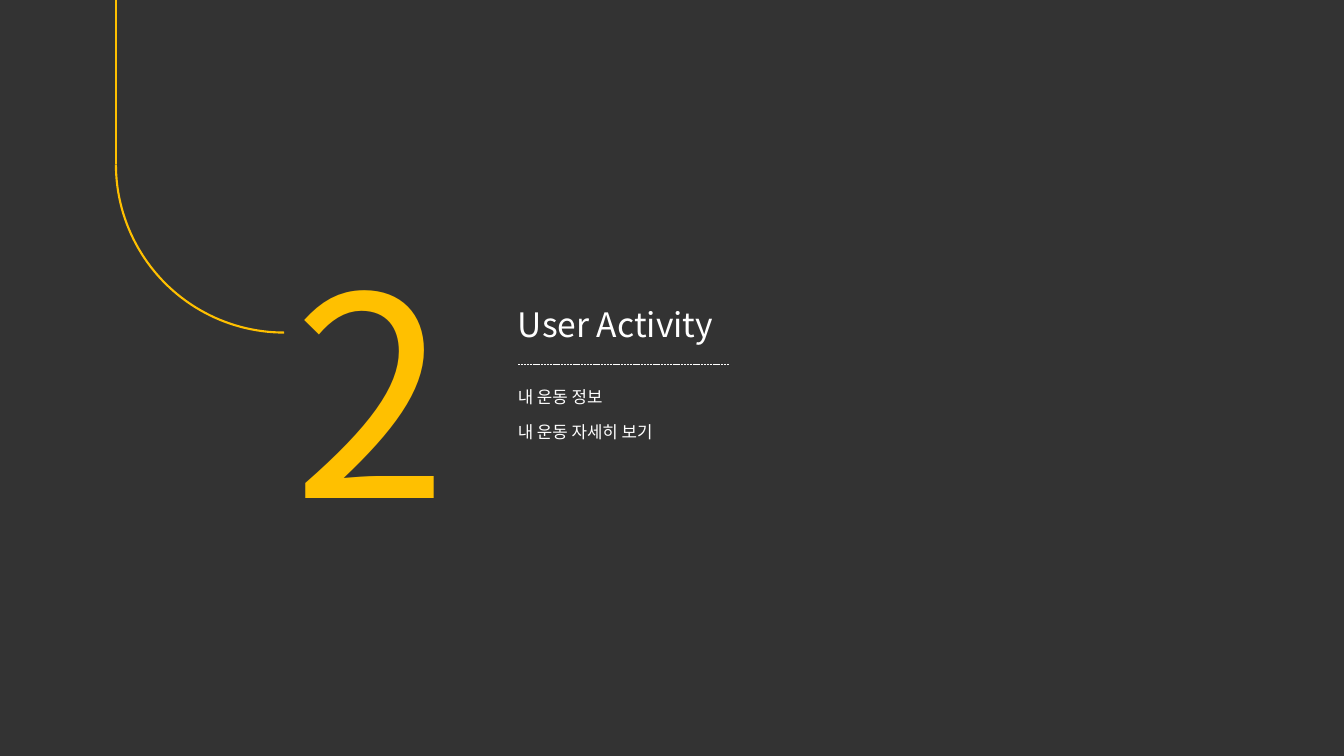
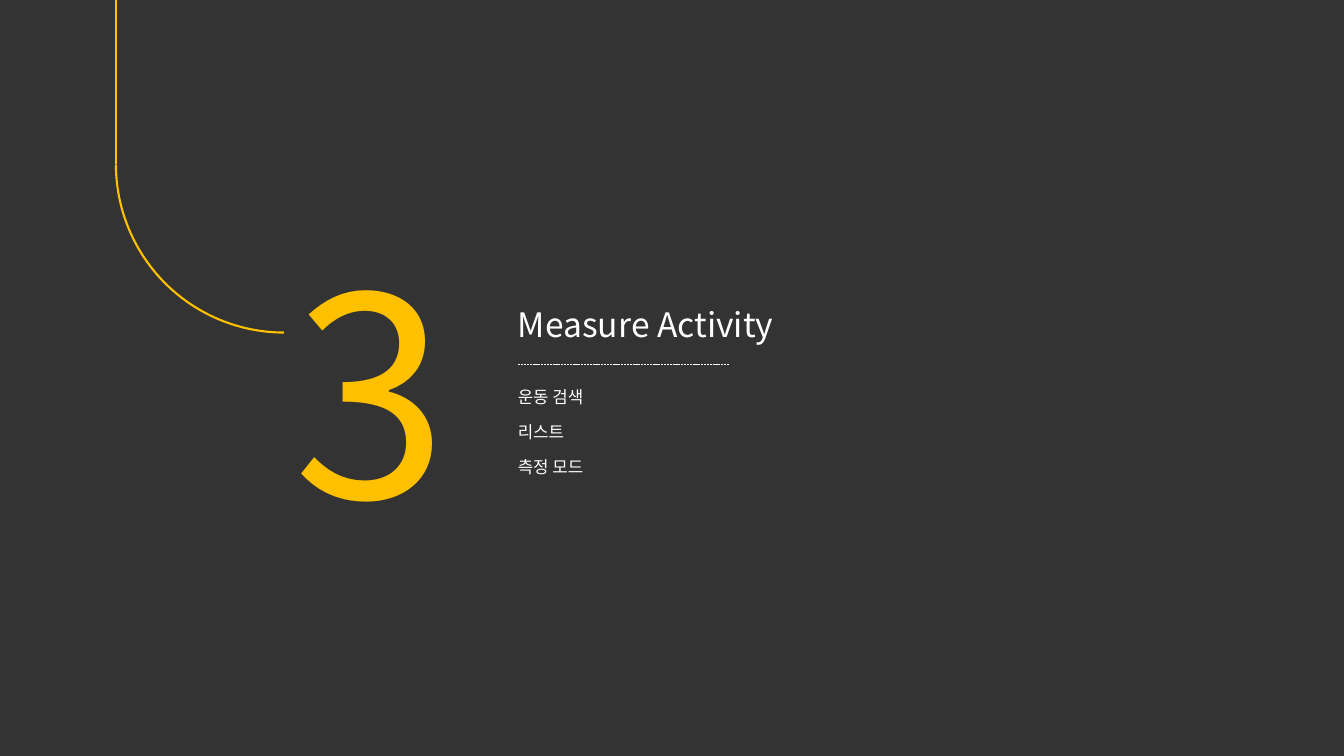
from dataclasses import dataclass

from lxml.etree import SubElement
from pptx import Presentation
from pptx.dml.color import RGBColor
from pptx.enum.dml import MSO_LINE
from pptx.enum.shapes import MSO_CONNECTOR, MSO_SHAPE
from pptx.enum.text import MSO_ANCHOR, MSO_AUTO_SIZE, PP_ALIGN
from pptx.oxml.ns import qn
from pptx.util import Cm, Pt

CHARCOAL = RGBColor(0x33, 0x33, 0x33)
WHITE = RGBColor(0xFF, 0xFF, 0xFF)
AMBER = RGBColor(0xFF, 0xC0, 0x00)
FONT = "Noto Sans CJK KR"

TITLE_ONLY = 5
TEXT_LEFT = 12.8
TOPIC_TOP, TOPIC_PITCH = 9.63, 0.88
ARC_LEFT, ARC_TOP, ARC_SIZE = 2.92, -0.1, 8.48


@dataclass(frozen=True)
class Box:
    """Position and size in centimetres."""
    left: float
    top: float
    width: float
    height: float


@dataclass(frozen=True)
class Section:
    number: str
    title: str
    topics: tuple[str, ...]


TITLE_BOX = Box(TEXT_LEFT, 7.54, 8.28, 1.27)
NUMBER_BOX = Box(7.16, 5.41, 4.5, 8.76)

SECTIONS = (
    Section("2", "User Activity", ("내 운동 정보", "내 운동 자세히 보기")),
    Section("3", "Measure Activity", ("운동 검색", "리스트", "측정 모드")),
)


def write_text(shape, box: Box, text: str, size: float, color: RGBColor) -> None:
    """Place a text shape and give its text the deck's style."""
    shape.left, shape.top = Cm(box.left), Cm(box.top)
    shape.width, shape.height = Cm(box.width), Cm(box.height)
    frame = shape.text_frame
    frame.text = text
    frame.word_wrap = True
    frame.auto_size = MSO_AUTO_SIZE.SHAPE_TO_FIT_TEXT
    frame.vertical_anchor = MSO_ANCHOR.TOP
    paragraph = frame.paragraphs[0]
    paragraph.alignment = PP_ALIGN.LEFT
    run = paragraph.runs[0]
    run.font.size = Pt(size)
    run.font.name = FONT
    run.font.color.rgb = color
    # Hangul takes the East Asian font
    SubElement(run.font._element, qn("a:ea"), typeface=FONT)


def add_text(slide, box: Box, text: str, size: float, color: RGBColor) -> None:
    shape = slide.shapes.add_textbox(0, 0, 0, 0)
    write_text(shape, box, text, size, color)


def add_line(shapes, start: tuple[float, float], end: tuple[float, float],
             color: RGBColor, width: float):
    """Draw a straight line without a shadow."""
    line = shapes.add_connector(MSO_CONNECTOR.STRAIGHT, *map(Cm, start + end))
    line.line.color.rgb = color
    line.line.width = Pt(width)
    SubElement(line._element.spPr, qn("a:effectLst"))
    return line


def add_hook(slide) -> None:
    """Draw the line that drops from the top edge and curves to the number."""
    shapes = slide.shapes.add_group_shape().shapes
    add_line(shapes, (ARC_LEFT, 0), (ARC_LEFT, ARC_TOP + ARC_SIZE / 2), AMBER, 1.5)
    arc = shapes.add_shape(MSO_SHAPE.ARC, Cm(ARC_LEFT), Cm(ARC_TOP),
                           Cm(ARC_SIZE), Cm(ARC_SIZE))
    arc.rotation = 180
    arc.shadow.inherit = False
    arc.fill.background()
    arc.line.color.rgb = AMBER
    arc.line.width = Pt(1.5)


def add_section(presentation, section: Section) -> None:
    slide = presentation.slides.add_slide(presentation.slide_layouts[TITLE_ONLY])
    write_text(slide.shapes.title, TITLE_BOX, section.title, 24, WHITE)

    # Topics
    for index, topic in enumerate(section.topics):
        box = Box(TEXT_LEFT, TOPIC_TOP + index * TOPIC_PITCH, 6.12, 0.76)
        add_text(slide, box, topic, 12, WHITE)

    # Rule under the title
    rule = add_line(slide.shapes, (13.06, 9.19), (18.36, 9.19), WHITE, 0.5)
    rule.line.dash_style = MSO_LINE.SQUARE_DOT

    # Section number and its hook
    add_text(slide, NUMBER_BOX, section.number, 199, AMBER)
    add_hook(slide)


def main() -> None:
    presentation = Presentation()
    presentation.slide_width, presentation.slide_height = Cm(33.87), Cm(19.05)

    # Shared dark background
    background = presentation.slide_master.background.fill
    background.solid()
    background.fore_color.rgb = CHARCOAL

    for section in SECTIONS:
        add_section(presentation, section)
    presentation.save("out.pptx")


if __name__ == "__main__":
    main()
